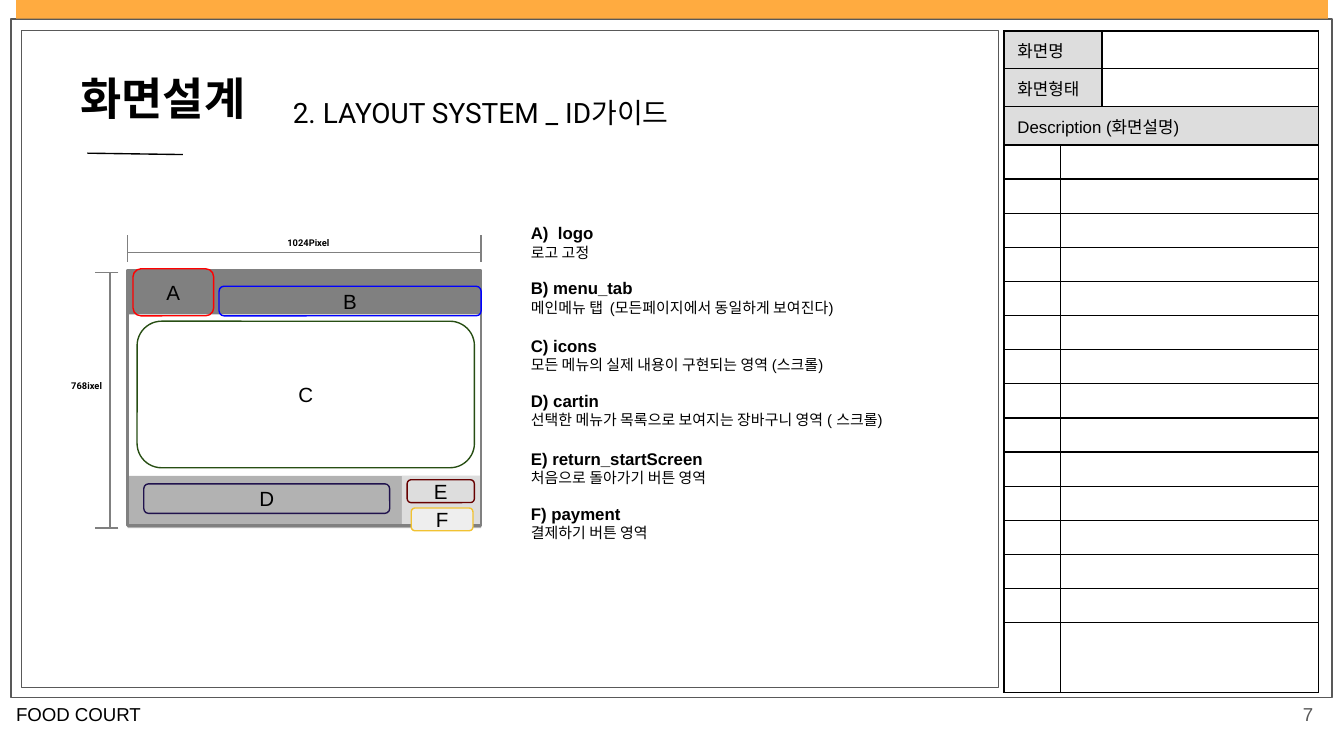
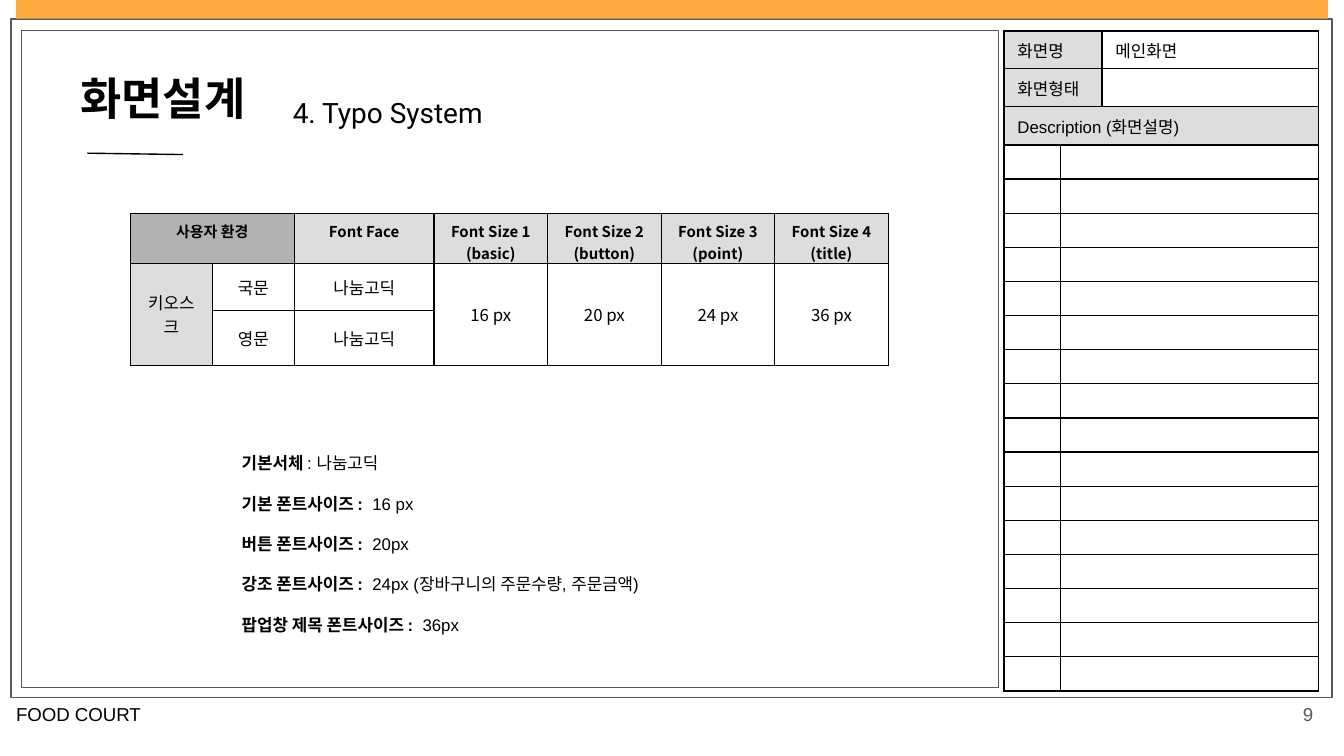
"""Build two screen-design slides: the layout guide and the type system."""
from pptx import Presentation
from pptx.dml.color import RGBColor
from pptx.enum.shapes import MSO_CONNECTOR, MSO_SHAPE
from pptx.enum.text import MSO_ANCHOR, PP_ALIGN
from pptx.oxml.ns import qn
from pptx.util import Inches, Pt
from lxml import etree

RECT, ROUND = MSO_SHAPE.RECTANGLE, MSO_SHAPE.ROUNDED_RECTANGLE
STRAIGHT = MSO_CONNECTOR.STRAIGHT
LEFT, CENTER, RIGHT = PP_ALIGN.LEFT, PP_ALIGN.CENTER, PP_ALIGN.RIGHT
TOP, MIDDLE = MSO_ANCHOR.TOP, MSO_ANCHOR.MIDDLE

GRID = Inches(0.1)
COLS, ROWS = 100, 56.25
BLACK, WHITE, FRAME, BAND = "000000", "FFFFFF", "595959", "FFAB40"
DARK, MID, LIGHT, PALE = "808080", "B2B2B2", "DDDDDD", "EEEEEE"
SANS, TITLE, KOREAN = "Arial", "Roboto", "Noto Sans CJK KR"
rgb = RGBColor.from_string


def box(shapes, kind, area, fill=None, line=None, width=0.75, inset=0, anchor=TOP):
    """Add a preset shape, or a text box when kind is None, on grid cells."""
    place = [int(v * GRID) for v in area]
    if kind is None:
        sp = shapes.add_textbox(*place)
    else:
        sp = shapes.add_shape(kind, *place)
        sp.shadow.inherit = False
        sp.fill.background()
        sp.line.fill.background()
    if fill:
        sp.fill.solid()
        sp.fill.fore_color.rgb = rgb(fill)
    if line:
        sp.line.color.rgb = rgb(line)
        sp.line.width = Pt(width)
    tf = sp.text_frame
    tf.word_wrap = True
    tf.vertical_anchor = anchor
    tf.margin_left = tf.margin_right = int(inset * GRID)
    tf.margin_top = tf.margin_bottom = int(inset * GRID / 2)
    return sp


def write(tf, lines, size, font=SANS, align=LEFT, color=BLACK):
    """Write paragraphs, each a list of (text, bold) or (text, bold, size) runs."""
    for i, runs in enumerate(lines):
        p = tf.add_paragraph() if i else tf.paragraphs[0]
        p.alignment = align
        for text, bold, *own in runs:
            r = p.add_run()
            r.text = text
            r.font.size = Pt(own[0] if own else size)
            r.font.name = font
            r.font.bold = bold
            r.font.color.rgb = rgb(color)


prs = Presentation()
prs.slide_width, prs.slide_height = int(COLS * GRID), int(ROWS * GRID)

pages = [
    ("7", "2. LAYOUT SYSTEM _ ID가이드", "", [2.54] * 14 + [5.2]),
    ("9", "4. Typo System", "메인화면", [2.54] * 16),
]
slides, lines, tables = [], [], []
for number, subtitle, screen, blank_rows in pages:
    s = prs.slides.add_slide(prs.slide_layouts[6])
    slides.append(s)
    for area, width in [((0.8, 1.4, 98.3, 50.5), 1), ((1.6, 2.25, 72.7, 48.9), 0.75)]:
        box(s.shapes, ROUND, area, line=FRAME, width=width).adjustments[0] = 0
    box(s.shapes, RECT, (1.2, 0, 97.6, 1.4), BAND)
    sp = box(s.shapes, None, (92.7, 51, 6, 4.3), inset=1, anchor=MIDDLE)
    write(sp.text_frame, [[(number, False)]], 10, align=RIGHT, color=FRAME)
    sp = box(s.shapes, None, (1.2, 52.3, 18.3, 1.7))
    write(sp.text_frame, [[("FOOD COURT", False)]], 10)
    sp = box(s.shapes, None, (5, 4.8, 17.6, 11.8), inset=1)
    write(sp.text_frame, [[("화면설계", True)]], 24)
    sp = box(s.shapes, None, (20.8, 6.6, 32.8, 3.5), inset=1)
    write(sp.text_frame, [[(subtitle, False)]], 15, TITLE)
    lines.append((s.shapes, BLACK, (6.5, 11.4, 13.6, 11.5)))
    tables.append(dict(
        slide=s, at=(74.7, 2.3), cols=[4.2, 3.1, 16.1], rows=[2.83] * 3 + blank_rows,
        merges=[(0, 0, 0, 1), (1, 0, 1, 1), (2, 0, 2, 2)]
        + [(i, 1, i, 2) for i in range(3, 3 + len(blank_rows))],
        texts={(0, 0): "화면명", (0, 2): screen, (1, 0): "화면형태",
               (2, 0): "Description (화면설명)"},
        fills={(0, 0): LIGHT, (1, 0): LIGHT, (2, 0): LIGHT},
        heavy={(2, 0): "B", (3, 0): "T", (3, 1): "T"},
        font=SANS, align=LEFT, head=0))

layout, typo = slides

g = layout.shapes.add_group_shape().shapes
for area, fill, line in [
    ((9.5, 20.1, 26.3, 3.3), DARK, None),
    ((9.5, 35.4, 26.3, 3.9), MID, None),
    ((29.9, 35.4, 5.9, 3.8), LIGHT, None),
    ((9.5, 20.1, 26.3, 19), None, DARK),
]:
    box(g, RECT, area, fill, line, 1.5)
for x in (9.5, 35.8):
    lines.append((g, DARK, (x, 17.5, x, 19.5)))
for y in (20.3, 39.3):
    lines.append((g, DARK, (8.8, y, 7.1, y)))
lines += [(g, DARK, (9.5, 18.8, 35.8, 18.8)), (g, DARK, (8.2, 20.3, 8.2, 39.3))]
for label, area in [("1024Pixel", (19, 17.2, 7.9, 1.8)), ("768ixel", (4.2, 27.8, 4.5, 1.8))]:
    sp = box(g, None, area, anchor=MIDDLE)
    write(sp.text_frame, [[(label, True)]], 5, TITLE, CENTER)

for label, area, fill, line in [
    ("A", (9.9, 20, 6, 3.5), None, "FF0000"),
    ("B", (16.3, 21.3, 19.5, 2.2), None, "0000FF"),
    ("C", (10.2, 23.9, 25.1, 10.9), None, "274E13"),
    ("D", (10.7, 36, 18.3, 2.2), None, "20124D"),
    ("E", (30.3, 35.7, 5, 1.7), None, "660000"),
    ("F", (30.6, 37.8, 4.6, 1.7), PALE, "F1C232"),
]:
    sp = box(layout.shapes, ROUND, area, fill, line, anchor=MIDDLE)
    write(sp.text_frame, [[(label, False)]], 11, align=CENTER)

areas = [
    ("A)  logo", "로고 고정"),
    ("B) menu_tab", "메인메뉴 탭  (모든페이지에서 동일하게 보여진다)"),
    ("C) icons", "모든 메뉴의 실제 내용이 구현되는 영역 (스크롤)"),
    ("D) cartin", "선택한 메뉴가 목록으로 보여지는 장바구니 영역 ( 스크롤)"),
    ("E) return_startScreen", "처음으로 돌아가기 버튼 영역"),
    ("F) payment", "결제하기 버튼 영역"),
]
tf = box(layout.shapes, None, (39.5, 16.6, 31, 28.1)).text_frame
write(tf, [run for name, note in areas for run in ([(name, True, 9)], [(note, False, 8)])], 9)
for i, p in enumerate(tf.paragraphs[2::2]):
    p.space_before = Pt(10.5 if i % 2 else 9)

sizes = [
    ("기본서체", " : 나눔고딕"),
    ("기본 폰트사이즈 : ", " 16 px"),
    ("버튼 폰트사이즈 : ", " 20px"),
    ("강조 폰트사이즈 : ", " 24px (장바구니의 주문수량, 주문금액)"),
    ("팝업창 제목 폰트사이즈 : ", " 36px"),
]
tf = box(typo.shapes, None, (17, 31.7, 40.3, 14.9), inset=1).text_frame
write(tf, [[(name, True), (value, False)] for name, value in sizes], 9)
for p in tf.paragraphs:
    p.line_spacing = 2.0

texts = {(0, 0): "사용자 환경", (0, 2): "Font Face", (1, 0): "키오스크",
         (1, 1): "국문", (2, 1): "영문", (1, 2): "나눔고딕", (2, 2): "나눔고딕"}
for i, (use, px) in enumerate([("basic", 16), ("button", 20), ("point", 24), ("title", 36)]):
    texts[0, 3 + i] = f"Font Size {i + 1}\n({use})"
    texts[1, 3 + i] = f"{px} px"
tables.append(dict(
    slide=typo, at=(9.7, 15.9), cols=[6.1, 6.1, 10.4] + [8.45] * 4, rows=[3.7, 3.5, 4.1],
    merges=[(0, 0, 0, 1), (1, 0, 2, 0)] + [(1, c, 2, c) for c in range(3, 7)],
    texts=texts,
    fills={(0, 0): MID, (1, 0): LIGHT, **{(0, c): LIGHT for c in range(2, 7)}},
    heavy={(1, 0): "R", (1, 1): "LB", (1, 2): "B", (2, 1): "LT", (2, 2): "T"},
    font=KOREAN, align=CENTER, head=1))

for t in tables:
    rows, cols = t["rows"], t["cols"]
    place = [int(v * GRID) for v in (*t["at"], sum(cols), sum(rows))]
    tbl = t["slide"].shapes.add_table(len(rows), len(cols), *place).table
    for parts, spans in ((tbl.columns, cols), (tbl.rows, rows)):
        for i, span in enumerate(spans):
            if parts is tbl.rows:
                parts[i].height = int(span * GRID)
            else:
                parts[i].width = int(span * GRID)
    for r0, c0, r1, c1 in t["merges"]:
        tbl.cell(r0, c0).merge(tbl.cell(r1, c1))
    for r in range(len(rows)):
        for c in range(len(cols)):
            cell, key = tbl.cell(r, c), (r, c)
            for side in "LRTB":
                pt = 1 if side in t["heavy"].get(key, "") else 0.75
                ln = etree.SubElement(cell._tc.get_or_add_tcPr(), qn(f"a:ln{side}"), w=str(Pt(pt)))
                solid = etree.SubElement(ln, qn("a:solidFill"))
                etree.SubElement(solid, qn("a:srgbClr"), val=BLACK)
            cell.fill.solid()
            cell.fill.fore_color.rgb = rgb(t["fills"].get(key, WHITE))
            cell.margin_left = cell.margin_right = GRID
            cell.margin_top = cell.margin_bottom = GRID // 2
            head = r < t["head"]
            cell.vertical_anchor = MIDDLE if t["head"] and not head else TOP
            text = t["texts"].get(key)
            if text:
                write(cell.text_frame, [[(line, head)] for line in text.split("\n")],
                      8 if head else 9, t["font"], t["align"])
            else:
                p = cell.text_frame.paragraphs[0]
                etree.SubElement(p._p, qn("a:endParaRPr"), sz="600")

for shapes, color, ends in lines:
    cn = shapes.add_connector(STRAIGHT, *[int(v * GRID) for v in ends])
    cn.line.color.rgb = rgb(color)
    cn.line.width = Pt(0.75)
    etree.SubElement(cn._element.spPr, qn("a:effectLst"))

prs.save("out.pptx")
